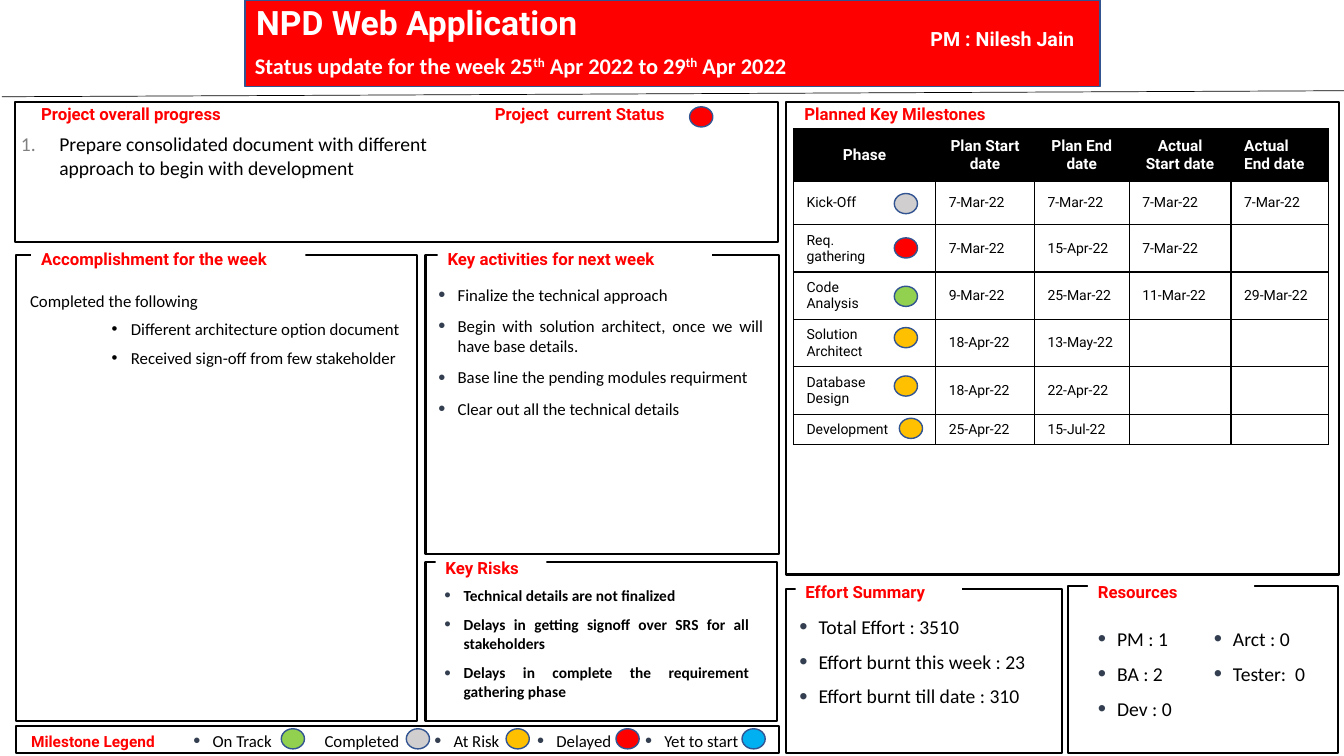
from lxml.etree import SubElement
from pptx import Presentation
from pptx.dml.color import RGBColor
from pptx.enum.shapes import MSO_CONNECTOR as Connector, MSO_SHAPE as Preset
from pptx.enum.text import MSO_ANCHOR as Anchor, MSO_AUTO_SIZE as AutoSize, PP_ALIGN as Align
from pptx.oxml.ns import qn
from pptx.util import Inches, Pt

BLACK, WHITE, RED, SLATE, BLUE = "000000", "FFFFFF", "FF0000", "333F50", "325491"
STATUS = {"completed": "D0CECE", "on track": "92D050", "at risk": "FFC000",
          "delayed": RED, "yet to start": "00B0F0"}
COLUMNS, ROWS = 133.3, 75


def color(value):
    return RGBColor.from_string(value)


class StatusSlide:
    heading_font, body_font = "Roboto", "Calibri"

    def __init__(self, presentation):
        self.column = presentation.slide_width / COLUMNS
        self.row = presentation.slide_height / ROWS
        self.slide = presentation.slides.add_slide(presentation.slide_layouts[5])
        self.shapes = self.slide.shapes

    def place(self, left, top, width, height):
        return (round(left * self.column), round(top * self.row),
                round(width * self.column), round(height * self.row))

    def shape(self, preset, box, fill, line, weight):
        shape = self.shapes.add_shape(preset, *self.place(*box))
        shape.shadow.inherit = False
        shape.fill.solid()
        shape.fill.fore_color.rgb = color(fill)
        shape.line.color.rgb = color(line)
        shape.line.width = Pt(weight)

    def panel(self, *box):
        self.shape(Preset.RECTANGLE, box, WHITE, BLACK, 1.5)

    def dot(self, left, top, status):
        self.shape(Preset.OVAL, (left, top, 2.3, 2), STATUS[status], BLUE, 1)

    def format(self, paragraph, size, font, ink, bold=False, align=Align.LEFT):
        paragraph.alignment = align
        paragraph.font.size = Pt(size)
        paragraph.font.name = font
        paragraph.font.bold = bold
        paragraph.font.color.rgb = color(ink)

    def frame(self, shape, inset=0.0, wrap=True):
        frame = shape.text_frame
        frame.auto_size = AutoSize.NONE
        frame.vertical_anchor = Anchor.TOP
        frame.word_wrap = wrap
        frame.margin_left = frame.margin_right = round(self.column)
        frame.margin_top = frame.margin_bottom = round(inset * self.row)
        return frame

    def text_box(self, box, fill=None, **options):
        shape = self.shapes.add_textbox(*self.place(*box))
        if fill:
            shape.fill.solid()
            shape.fill.fore_color.rgb = color(fill)
        return self.frame(shape, **options)

    def title(self, text, box):
        title = self.shapes.title
        self.shapes.element.append(title.element)
        title.left, title.top, title.width, title.height = self.place(*box)
        frame = self.frame(title, inset=0.5)
        frame.text = text
        self.format(frame.paragraphs[0], 24, self.heading_font, WHITE, True)

    def label(self, text, box, size=12, ink=RED, fill=WHITE):
        frame = self.text_box(box, fill)
        frame.text = text
        self.format(frame.paragraphs[0], size, self.heading_font, ink, True)

    def dated_line(self, parts, box):
        paragraph = self.text_box(box, inset=0.5, wrap=False).paragraphs[0]
        for index, part in enumerate(parts):
            run = paragraph.add_run()
            run.text = part
            if index % 2:
                run._r.get_or_add_rPr().set("baseline", "30000")
        self.format(paragraph, 16, self.body_font, WHITE, True)

    def bullet(self, paragraph, margin, hanging, ink, scale=100, numbered=False):
        properties = paragraph._p.get_or_add_pPr()
        properties.set("marL", str(round(margin * self.column)))
        properties.set("indent", str(round(-hanging * self.column)))
        SubElement(SubElement(properties, qn("a:buClr")), qn("a:srgbClr"), val=ink)
        SubElement(properties, qn("a:buSzPct"), val=str(scale * 1000))
        if numbered:
            SubElement(properties, qn("a:buFont"), typeface=self.body_font)
            SubElement(properties, qn("a:buAutoNum"), type="arabicPeriod")
        else:
            SubElement(properties, qn("a:buFont"), typeface="Arial")
            SubElement(properties, qn("a:buChar"), char="•")

    def bullets(self, items, box, size=12, bold=False):
        frame = self.text_box(box, WHITE)
        frame.text = "\n".join(items)
        for paragraph in frame.paragraphs:
            self.bullet(paragraph, 1.9, 1.9, SLATE, 120)
            paragraph.space_before, paragraph.space_after = Pt(6), Pt(2)
            self.format(paragraph, size, self.body_font, BLACK, bold, Align.JUSTIFY)

    def accomplishments(self, items, box):
        frame = self.text_box(box, WHITE)
        frame.text = "\n".join(items)
        for index, paragraph in enumerate(frame.paragraphs):
            if index:
                self.bullet(paragraph, 10, 1.9, BLACK)
            paragraph.space_before = Pt(6)
            self.format(paragraph, 12, self.body_font, BLACK, align=Align.JUSTIFY)

    def numbered(self, text, box):
        frame = self.text_box(box, inset=0.5)
        frame.text = text
        self.bullet(frame.paragraphs[0], 3.8, 3.8, "808080", numbered=True)
        self.format(frame.paragraphs[0], 14, self.body_font, BLACK)

    def rule(self, start, end):
        ends = self.place(*start, *end)
        line = self.shapes.add_connector(Connector.STRAIGHT, *ends)
        line.line.color.rgb = color(BLACK)
        line.line.width = Pt(0.5)
        SubElement(line.element.spPr, qn("a:effectLst"))

    def cell(self, cell, text, header, align):
        properties = cell._tc.get_or_add_tcPr()
        for side in "LRTB":
            border = SubElement(properties, qn(f"a:ln{side}"), w=str(Pt(1)))
            fill = SubElement(border, qn("a:solidFill"))
            SubElement(fill, qn("a:srgbClr"), val=BLACK)
        cell.fill.solid()
        cell.fill.fore_color.rgb = color(BLACK if header else WHITE)
        cell.vertical_anchor = Anchor.MIDDLE
        cell.margin_left = cell.margin_right = round(1.3 * self.column)
        cell.margin_top = cell.margin_bottom = round(0.7 * self.row)
        cell.text = text
        for paragraph in cell.text_frame.paragraphs:
            self.format(paragraph, 11 if header else 10, self.heading_font,
                        WHITE if header else BLACK, header, align)
            if not text:
                SubElement(paragraph._p, qn("a:endParaRPr"), sz="1000")

    def table(self, records, left, top, widths, heights):
        box = self.place(left, top, sum(widths), sum(heights))
        table = self.shapes.add_table(len(heights), len(widths), *box).table
        for column, width in zip(table.columns, widths):
            column.width = round(width * self.column)
        for row, height in zip(table.rows, heights):
            row.height = round(height * self.row)
        for r, record in enumerate(records):
            for c, text in enumerate(record):
                centred = r == 0 and c < len(widths) - 1
                self.cell(table.cell(r, c), text, r == 0, Align.CENTER if centred else Align.LEFT)


def main():
    presentation = Presentation()
    presentation.slide_width, presentation.slide_height = Inches(13.33), Inches(7.5)
    page = StatusSlide(presentation)

    page.shape(Preset.RECTANGLE, (24.3, 0, 84.8, 8.6), RED, BLUE, 1)
    page.title("NPD Web Application", (24.4, -0.3, 40.2, 5))
    page.dated_line(["Status update for the week 25", "th", " Apr 2022 to 29", "th", " Apr 2022"],
                    (24.3, 4.7, 55.1, 3.7))
    page.label("PM : Nilesh Jain", (91.3, 2.7, 16.8, 2.4), 14, WHITE, RED)
    page.rule((0.2, 9.6), (133.3, 9))

    page.panel(1.5, 10.1, 75.7, 13.9)
    page.label("Project overall progress", (3.1, 10.3, 27.2, 2))
    page.label("Project  current Status", (48.1, 10.3, 20.2, 2))
    page.dot(68.4, 10.6, "delayed")
    page.numbered("Prepare consolidated document with different approach to begin with development",
                  (1.1, 12.6, 48.3, 8.4))

    page.panel(1.6, 25.3, 39.8, 46.2)
    page.label("Accomplishment for the week", (3.1, 24.7, 27.2, 2))
    page.accomplishments(["Completed the following", "Different architecture option document",
                          "Received sign-off from few stakeholder"], (2, 28.8, 38.7, 10.6))

    page.panel(42.2, 25.3, 35.1, 29.7)
    page.label("Key activities for next week", (43.4, 24.7, 27.2, 2))
    page.bullets(["Finalize the technical approach",
                  "Begin with solution architect, once we will have base details.",
                  "Base line the pending modules requirment",
                  "Clear out all the technical details"], (42.5, 28.2, 34.2, 13.5))

    page.panel(42.2, 55.8, 34.9, 15.7)
    page.label("Key Risks", (43.2, 55.3, 11, 2))
    page.bullets(["Technical details are not finalized",
                  "Delays in getting signoff over SRS for all stakeholders",
                  "Delays in complete the requirement gathering phase"],
                 (43.1, 58.1, 32.2, 11.5), 11, True)

    page.panel(78, 10.1, 54.8, 46.9)
    page.label("Planned Key Milestones", (78.8, 10.3, 24.7, 2.1))
    page.table([
        ["Phase", "Plan Start date", "Plan End date", "Actual\nStart date", "Actual\nEnd date"],
        ["Kick-Off", "7-Mar-22", "7-Mar-22", "7-Mar-22", "7-Mar-22"],
        ["Req.\ngathering", "7-Mar-22", "15-Apr-22", "7-Mar-22", ""],
        ["Code\nAnalysis", "9-Mar-22", "25-Mar-22", "11-Mar-22", "29-Mar-22"],
        ["Solution\nArchitect", "18-Apr-22", "13-May-22", "", ""],
        ["Database\nDesign", "18-Apr-22", "22-Apr-22", "", ""],
        ["Development", "25-Apr-22", "15-Jul-22", "", ""],
    ], 78.7, 12.8, [14.1, 9.8, 9.4, 10.1, 9.7], [5.2, 4.3] + [4.7] * 4 + [3])
    for left, top, status in [(88.7, 19.2, "completed"), (88.7, 23.6, "delayed"),
                              (88.7, 28.4, "on track"), (88.7, 32.5, "at risk"),
                              (88.7, 37.3, "at risk"), (89.2, 41.5, "at risk")]:
        page.dot(left, top, status)

    page.panel(78, 58.4, 27.3, 16.3)
    page.label("Effort Summary", (78.9, 57.7, 16.5, 2))
    page.bullets(["Total Effort : 3510", "Effort burnt this week : 23", "Effort burnt till date : 310"],
                 (78.3, 61, 25.7, 9.3), 14)

    page.panel(105.9, 58.1, 26.8, 16.6)
    page.label("Resources", (107.9, 57.7, 16.5, 2))
    page.bullets(["PM : 1", "BA : 2", "Dev : 0"], (107.9, 62.2, 11.5, 9.3), 14)
    page.bullets(["Arct : 0", "Tester:  0"], (119.4, 62.2, 12, 5.8), 14)

    page.panel(1.6, 72, 75.7, 2.7)
    page.label("Milestone Legend", (2.1, 72.6, 15.4, 1.9), 11)
    legend = [("Completed", 29.3, 12.2, 40.3), ("On Track", 18.2, 13.7, 27.9),
              ("At Risk", 42.1, 14.5, 50.2), ("Delayed", 52.3, 14.5, 61.1),
              ("Yet to start", 63, 14.1, 73.6)]
    for name, left, width, _ in legend:
        page.bullets([name], (left, 72.5, width, 2))
    for name, _, _, left in legend:
        page.dot(left, 72.3, name.lower())

    presentation.save("out.pptx")


if __name__ == "__main__":
    main()
